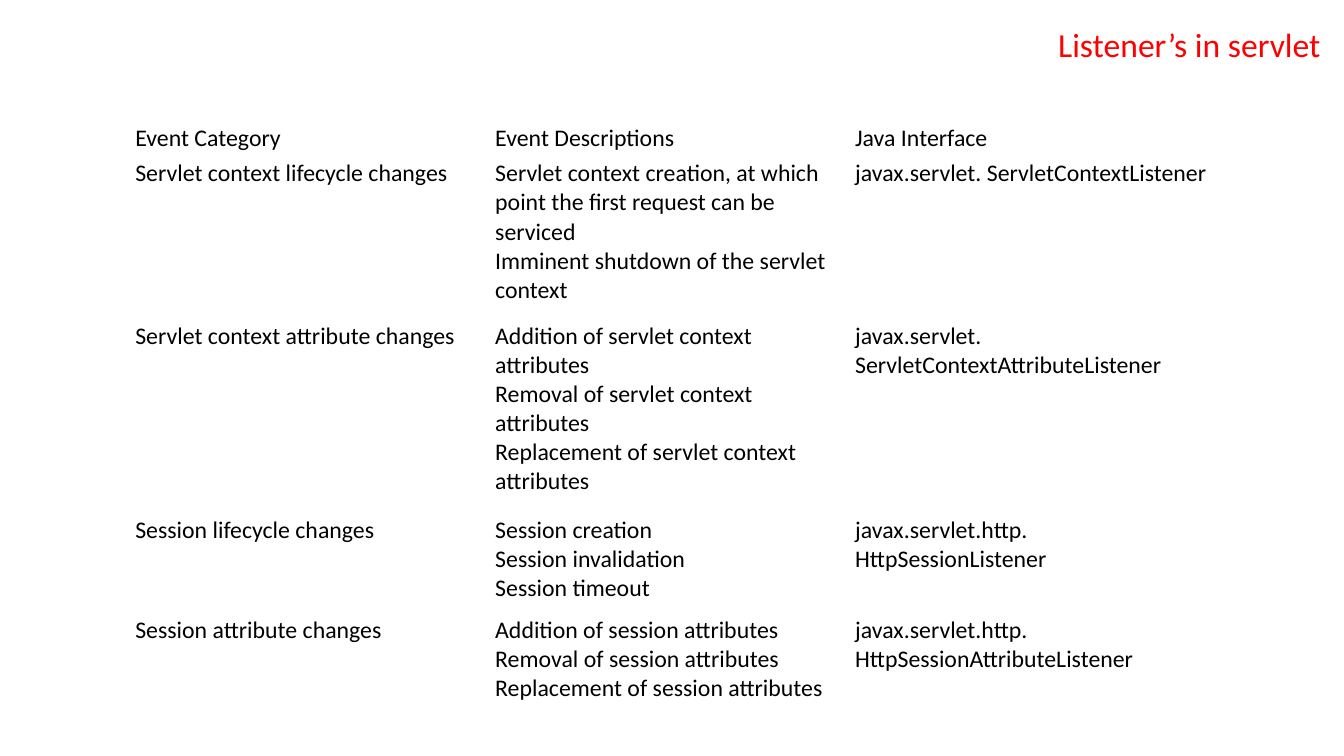
from dataclasses import dataclass

from pptx import Presentation
from pptx.dml.color import RGBColor
from pptx.enum.text import MSO_ANCHOR as Anchor, PP_ALIGN as Align
from pptx.util import Cm, Pt


@dataclass(frozen=True)
class Theme:
    font: str = "Calibri"
    title_size: int = 24
    body_size: int = 17
    title_color: RGBColor = RGBColor(0xFF, 0x00, 0x00)
    body_color: RGBColor = RGBColor(0x00, 0x00, 0x00)


def style_text(tf, size, color):
    for p in tf.paragraphs:
        for r in p.runs:
            r.font.name = theme.font
            r.font.size = Pt(size)
            r.font.bold = False
            r.font.color.rgb = color


theme = Theme()
prs = Presentation()
prs.slide_width, prs.slide_height = Cm(33.87), Cm(19.05)
s = prs.slides.add_slide(prs.slide_layouts[6])

# Listener table: one tuple per row, line breaks separate paragraphs
listeners = [
    ("Event Category", "Event Descriptions", "Java Interface"),
    ("Servlet context lifecycle changes",
     "Servlet context creation, at which point the first request can be serviced\n"
     "Imminent shutdown of the servlet context",
     "javax.servlet. ServletContextListener"),
    ("Servlet context attribute changes",
     "Addition of servlet context attributes\n"
     "Removal of servlet context attributes\n"
     "Replacement of servlet context attributes",
     "javax.servlet. ServletContextAttributeListener"),
    ("Session lifecycle changes",
     "Session creation\nSession invalidation\nSession timeout",
     "javax.servlet.http. HttpSessionListener"),
    ("Session attribute changes",
     "Addition of session attributes\n"
     "Removal of session attributes\n"
     "Replacement of session attributes",
     "javax.servlet.http. HttpSessionAttributeListener"),
]
row_heights = [0.93, 4.1, 4.89, 2.52, 2.52]
column_width = 9.07
cell_margin = Cm(0.08)

table = s.shapes.add_table(
    len(listeners), 3, Cm(3.33), Cm(3), Cm(3 * column_width), Cm(sum(row_heights))
).table
table.first_row = False
table.horz_banding = False
for column in table.columns:
    column.width = Cm(column_width)

for i, (texts, height) in enumerate(zip(listeners, row_heights)):
    table.rows[i].height = Cm(height)
    for cell, text in zip(table.rows[i].cells, texts):
        cell.fill.background()
        cell.margin_left = cell.margin_right = cell_margin
        cell.margin_top = cell.margin_bottom = cell_margin
        cell.vertical_anchor = Anchor.BOTTOM if i == 0 else Anchor.TOP
        cell.text_frame.text = text
        style_text(cell.text_frame, theme.body_size, theme.body_color)

# Title in the top right corner
title = s.shapes.add_textbox(Cm(23.01), Cm(0.46), Cm(10.52), Cm(1.45))
tf = title.text_frame
tf.word_wrap = True
tf.vertical_anchor = Anchor.MIDDLE
tf.text = "Listener’s in servlet"
tf.paragraphs[0].alignment = Align.RIGHT
tf.paragraphs[0].line_spacing = 0.9
style_text(tf, theme.title_size, theme.title_color)

prs.save("out.pptx")
